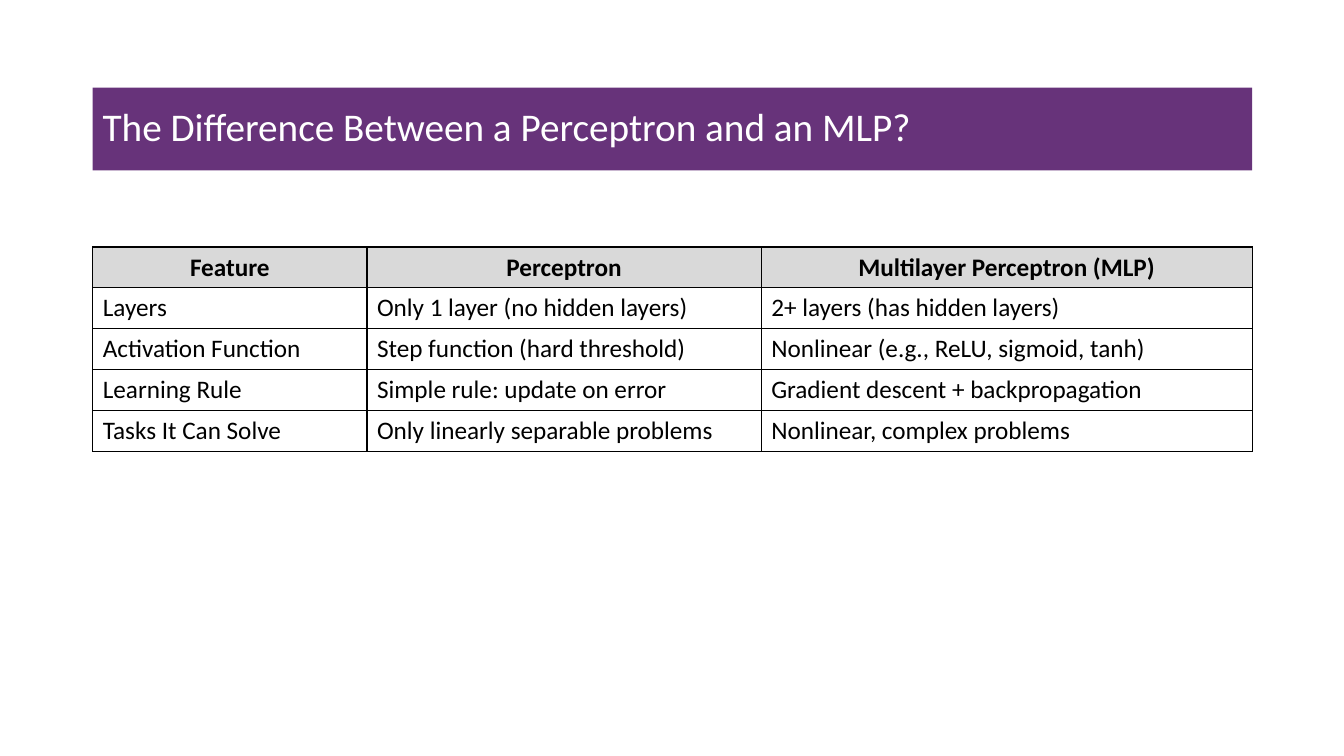
from pptx import Presentation
from pptx.dml.color import RGBColor
from pptx.enum.shapes import MSO_SHAPE
from pptx.enum.text import MSO_ANCHOR, PP_ALIGN
from pptx.util import Inches, Pt
from lxml.etree import SubElement
from pptx.oxml.ns import qn

PURPLE = RGBColor(0x67, 0x33, 0x7A)
GRAY = RGBColor(0xD9, 0xD9, 0xD9)
WHITE = RGBColor(0xFF, 0xFF, 0xFF)
BLACK = RGBColor(0, 0, 0)

TITLE = "The Difference Between a Perceptron and an MLP?"
WIDTHS = (2.72, 3.91, 4.87)
ROWS = (
    ("Feature", "Perceptron", "Multilayer Perceptron (MLP)"),
    ("Layers", "Only 1 layer (no hidden layers)", "2+ layers (has hidden layers)"),
    ("Activation Function", "Step function (hard threshold)",
     "Nonlinear (e.g., ReLU, sigmoid, tanh)"),
    ("Learning Rule", "Simple rule: update on error",
     "Gradient descent + backpropagation"),
    ("Tasks It Can Solve", "Only linearly separable problems",
     "Nonlinear, complex problems"),
)


def write(frame, text, color, align=PP_ALIGN.LEFT, **form):
    para = frame.paragraphs[0]
    para.alignment = align
    run = para.add_run()
    run.text = text
    run.font.color.rgb = color
    for name, value in {"name": "Calibri", **form}.items():
        setattr(run.font, name, value)
    return para


def outline(cell):
    """Draw a thin black line on all four sides of the cell."""
    props = cell._tc.get_or_add_tcPr()
    for side in ("lnL", "lnR", "lnT", "lnB"):
        line = SubElement(props, qn(f"a:{side}"), w=str(Pt(1)))
        fill = SubElement(line, qn("a:solidFill"))
        SubElement(fill, qn("a:srgbClr"), val=str(BLACK))


def add_title(slide, left, top, width, height):
    bar = slide.shapes.add_shape(
        MSO_SHAPE.RECTANGLE, *map(Inches, (left, top, width, height)))
    bar.shadow.inherit = False
    bar.fill.solid()
    bar.fill.fore_color.rgb = PURPLE
    bar.line.fill.background()
    bar.text_frame.word_wrap = True
    bar.text_frame.vertical_anchor = MSO_ANCHOR.MIDDLE
    para = write(bar.text_frame, TITLE, WHITE, size=Pt(28))
    para.line_spacing = 0.9


def add_grid(slide, left, top, width, height):
    grid = slide.shapes.add_table(
        len(ROWS), len(WIDTHS), *map(Inches, (left, top, width, height))).table
    grid.first_row = grid.horz_banding = False
    for col, share in zip(grid.columns, WIDTHS):
        col.width = Inches(width * share / sum(WIDTHS))
    for r, row in enumerate(ROWS):
        head = r == 0
        for c, text in enumerate(row):
            cell = grid.cell(r, c)
            cell.vertical_anchor = MSO_ANCHOR.MIDDLE
            outline(cell)
            if head:
                cell.fill.solid()
                cell.fill.fore_color.rgb = GRAY
            else:
                cell.fill.background()
            write(cell.text_frame, text, BLACK,
                  PP_ALIGN.CENTER if head else PP_ALIGN.LEFT,
                  size=Pt(18), bold=head)


def main():
    deck = Presentation()
    deck.slide_width, deck.slide_height = Inches(13.33), Inches(7.5)
    slide = deck.slides.add_slide(deck.slide_layouts[6])
    add_title(slide, 0.92, 0.87, 11.5, 0.82)
    add_grid(slide, 0.92, 2.45, 11.5, 2)
    deck.save("out.pptx")


if __name__ == "__main__":
    main()
